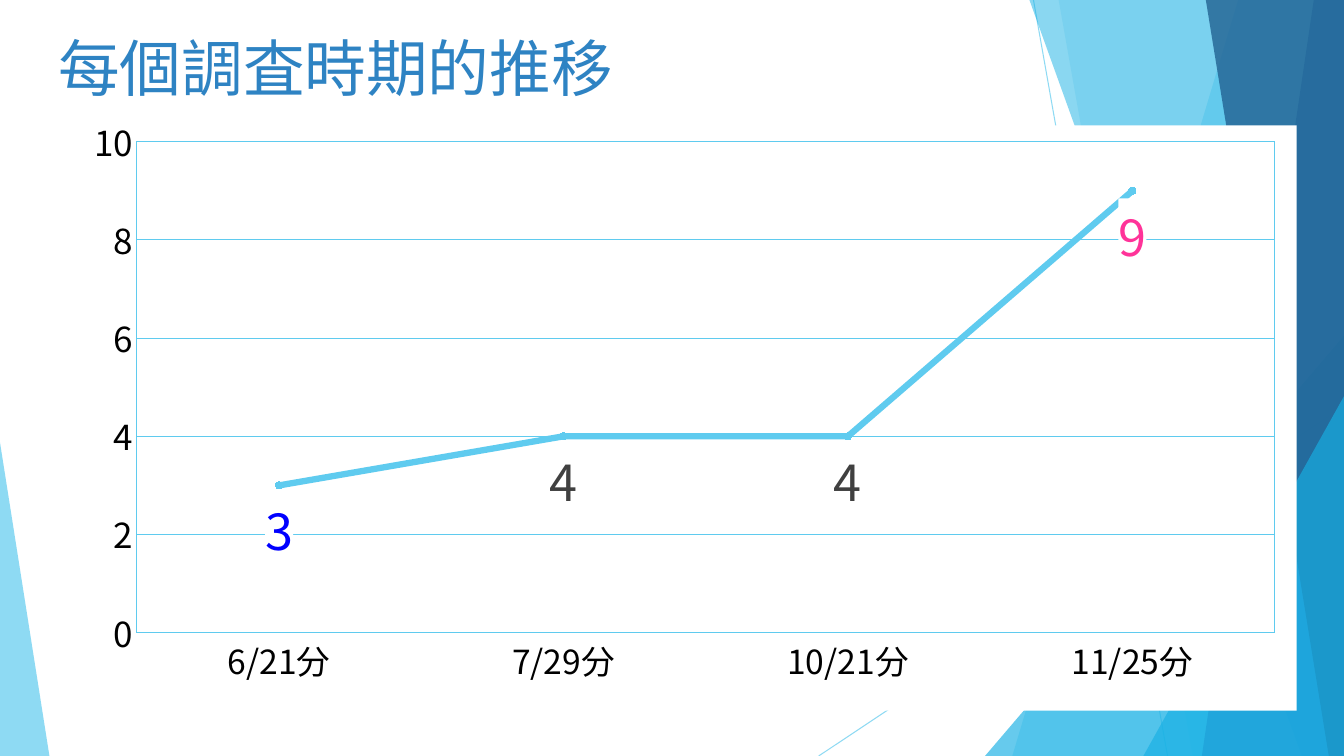
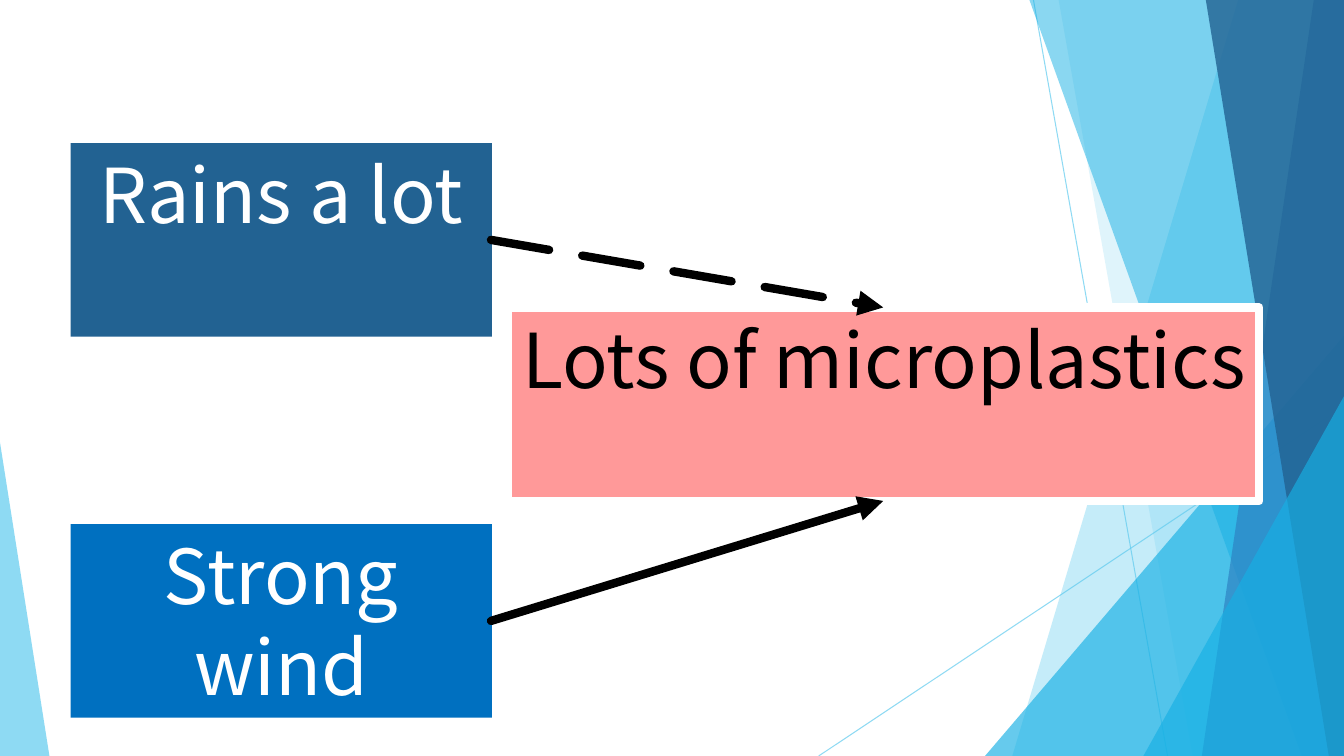
from lxml.etree import SubElement
from pptx import Presentation
from pptx.chart.data import CategoryChartData
from pptx.dml.color import RGBColor
from pptx.enum.chart import XL_CHART_TYPE, XL_LABEL_POSITION, XL_MARKER_STYLE, XL_TICK_MARK
from pptx.enum.dml import MSO_LINE
from pptx.enum.shapes import MSO_CONNECTOR, MSO_SHAPE
from pptx.enum.text import MSO_ANCHOR, PP_ALIGN
from pptx.oxml import parse_xml
from pptx.oxml.ns import nsdecls, qn
from pptx.util import Inches, Pt

WIDTH, HEIGHT = 13.33, 7.5
FONT = "Noto Sans CJK JP"
SKY = RGBColor(0x5F, 0xCB, 0xEF)
CYAN = RGBColor(0x17, 0xB0, 0xE4)
BLUE = RGBColor(0x2E, 0x83, 0xC3)
NAVY = RGBColor(0x22, 0x62, 0x92)
STRONG_BLUE = RGBColor(0x00, 0x70, 0xC0)
PURE_BLUE = RGBColor(0x00, 0x00, 0xFF)
SALMON = RGBColor(0xFF, 0x99, 0x99)
PINK = RGBColor(0xFF, 0x33, 0x99)
GRAY = RGBColor(0x40, 0x40, 0x40)
BLACK = RGBColor(0x00, 0x00, 0x00)
WHITE = RGBColor(0xFF, 0xFF, 0xFF)


def set_opacity(shape, percent):
    color = next(shape.element.iter(qn("a:srgbClr")))
    SubElement(color, qn("a:alpha"), val=str(percent * 1000))


def set_east_asian_font(element):
    """Repeat every Latin typeface as the East Asian one."""
    for latin in list(element.iter(qn("a:latin"))):
        latin.addnext(parse_xml(f'<a:ea {nsdecls("a")} typeface="{FONT}"/>'))


def format_font(font, size, color):
    font.name = FONT
    font.size = Pt(size)
    font.bold = False
    font.color.rgb = color


def write_text(shape, text, size=54, color=WHITE, align=PP_ALIGN.CENTER, anchor=MSO_ANCHOR.TOP):
    frame = shape.text_frame
    frame.word_wrap = True
    frame.vertical_anchor = anchor
    paragraph = frame.paragraphs[0]
    paragraph.alignment = align
    run = paragraph.add_run()
    run.text = text
    format_font(run.font, size, color)
    set_east_asian_font(shape.element)


def paint(shape, color, opacity=None):
    shape.shadow.inherit = False
    shape.fill.solid()
    shape.fill.fore_color.rgb = color
    shape.line.fill.background()
    if opacity is not None:
        set_opacity(shape, opacity)


def add_line(slide, start, end, color, width):
    points = [Inches(value) for value in (*start, *end)]
    connector = slide.shapes.add_connector(MSO_CONNECTOR.STRAIGHT, *points)
    connector.line.color.rgb = color
    connector.line.width = Pt(width)
    SubElement(connector.element.spPr, qn("a:effectLst"))
    return connector


def add_arrow(slide, start, end, dash=None):
    connector = add_line(slide, start, end, BLACK, 6)
    if dash is not None:
        connector.line.dash_style = dash
    outline = connector.element.spPr.find(qn("a:ln"))
    outline.set("cap", "rnd")
    SubElement(outline, qn("a:round"))
    SubElement(outline, qn("a:tailEnd"), type="triangle")


def add_band(slide, top_x, bottom_x, color, opacity):
    """Add a slanted band that reaches the right edge of the slide."""
    builder = slide.shapes.build_freeform(Inches(top_x), 0)
    corners = [(WIDTH, 0), (WIDTH, HEIGHT), (bottom_x, HEIGHT)]
    builder.add_line_segments([(Inches(x), Inches(y)) for x, y in corners])
    paint(builder.convert_to_shape(), color, opacity)


def add_corner(slide, left, top, width, apex, color, opacity):
    """Add a triangle that stands on the bottom edge; apex is 0 (left) or 1 (right)."""
    triangle = slide.shapes.add_shape(
        MSO_SHAPE.ISOSCELES_TRIANGLE,
        Inches(left), Inches(top), Inches(width), Inches(HEIGHT - top))
    triangle.adjustments[0] = apex
    paint(triangle, color, opacity)


def add_backdrop(slide):
    for start, end in [((10.25, 0), (11.58, HEIGHT)), ((WIDTH, 4.03), (8.12, HEIGHT))]:
        set_opacity(add_line(slide, start, end, SKY, 0.75), 70)
    add_band(slide, 12.28, 10.04, SKY, 36)
    add_band(slide, 10.5, 11.83, SKY, 20)
    add_corner(slide, 9.77, 3.33, 3.56, 1, CYAN, 66)
    add_band(slide, 10.21, 12.91, CYAN, 50)
    add_band(slide, 13.03, 11.92, BLUE, 70)
    add_band(slide, 11.96, 13.18, NAVY, 80)
    add_corner(slide, 11.34, 3.93, 1.99, 1, CYAN, 66)
    add_corner(slide, 0, 4.39, 0.49, 0, SKY, 70)


def add_slide(presentation):
    slide = presentation.slides.add_slide(presentation.slide_layouts[6])
    add_backdrop(slide)
    return slide


def add_title(slide, text):
    box = slide.shapes.add_textbox(Inches(0.48), Inches(0.23), Inches(6.19), Inches(0.87))
    write_text(box, text, size=44, color=BLUE, align=PP_ALIGN.LEFT, anchor=MSO_ANCHOR.MIDDLE)


def add_box(slide, text, left, top, width, fill, color=WHITE, border=None):
    box = slide.shapes.add_shape(
        MSO_SHAPE.RECTANGLE, Inches(left), Inches(top), Inches(width), Inches(1.92))
    paint(box, fill)
    if border is not None:
        box.line.color.rgb = border
        box.line.width = Pt(6)
    write_text(box, text, color=color)


def white_area(border=""):
    return parse_xml(
        f'<c:spPr {nsdecls("c", "a")}><a:solidFill><a:srgbClr val="{WHITE}"/></a:solidFill>'
        f'<a:ln w="9525">{border or "<a:noFill/>"}</a:ln></c:spPr>')


def set_plot_area(chart, x, y, width, height):
    area = chart.element.find(f'{qn("c:chart")}/{qn("c:plotArea")}')
    for layout in area.findall(qn("c:layout")):
        area.remove(layout)
    sizes = {"x": x, "y": y, "w": width, "h": height}
    edges = "".join(f'<c:{name}Mode val="edge"/>' for name in "xy")
    values = "".join(f'<c:{name} val="{value}"/>' for name, value in sizes.items())
    area.insert(0, parse_xml(
        f'<c:layout {nsdecls("c")}><c:manualLayout><c:layoutTarget val="inner"/>'
        f'{edges}{values}</c:manualLayout></c:layout>'))
    area.append(white_area(f'<a:solidFill><a:srgbClr val="{SKY}"/></a:solidFill>'))


def format_axis(axis, size):
    axis.major_tick_mark = axis.minor_tick_mark = XL_TICK_MARK.NONE
    format_font(axis.tick_labels.font, size, BLACK)
    axis.format.line.color.rgb = SKY
    axis.format.line.width = Pt(0.75)


def format_series(series):
    series.smooth = False
    series.format.line.color.rgb = SKY
    series.format.line.width = Pt(4.5)
    series.marker.style = XL_MARKER_STYLE.CIRCLE
    series.marker.size = 5
    series.marker.format.fill.solid()
    series.marker.format.fill.fore_color.rgb = SKY
    series.marker.format.line.fill.background()
    labels = series.data_labels
    labels.show_value = True
    labels.position = XL_LABEL_POSITION.BELOW
    format_font(labels.font, 36, GRAY)
    for index, color in [(0, PURE_BLUE), (3, PINK)]:
        label = series.points[index].data_label
        format_font(label.font, 36, color)
        label.position = XL_LABEL_POSITION.BELOW
    for label in series.data_labels.element.findall(qn("c:dLbl")) if hasattr(
            series.data_labels, "element") else series.format.element.iter(qn("c:dLbl")):
        label.find(qn("c:txPr")).addprevious(white_area())


def add_line_chart(slide, categories, values):
    data = CategoryChartData()
    data.categories = categories
    data.add_series("Series 1", values)
    chart = slide.shapes.add_chart(
        XL_CHART_TYPE.LINE_MARKERS,
        Inches(0.74), Inches(1.16), Inches(12.12), Inches(5.89), data).chart
    chart.has_title = chart.has_legend = False
    format_font(chart.font, 10, BLACK)
    chart.element.find(qn("c:txPr")).addprevious(white_area())
    set_plot_area(chart, 0.051, 0.028, 0.931, 0.839)
    format_axis(chart.category_axis, 24)
    value_axis = chart.value_axis
    format_axis(value_axis, 25)
    value_axis.minimum_scale, value_axis.maximum_scale, value_axis.major_unit = 0, 10, 2
    value_axis.major_gridlines.format.line.color.rgb = SKY
    value_axis.major_gridlines.format.line.width = Pt(0.75)
    plot = chart.plots[0]
    plot.vary_by_categories = False
    format_series(plot.series[0])
    set_east_asian_font(chart.element)


def build_trend_slide(presentation):
    slide = add_slide(presentation)
    add_title(slide, "每個調査時期的推移")
    add_line_chart(slide, ["6/21分", "7/29分", "10/21分", "11/25分"], [3, 4, 4, 9])


def build_causes_slide(presentation):
    slide = add_slide(presentation)
    add_box(slide, "Rains a lot", 0.7, 1.42, 4.18, NAVY)
    add_box(slide, "Strong wind", 0.7, 5.2, 4.18, STRONG_BLUE)
    add_box(slide, "Lots of microplastics", 5.04, 3.05, 7.45, SALMON, color=BLACK, border=WHITE)
    add_arrow(slide, (4.87, 2.38), (8.76, 3.05), dash=MSO_LINE.LONG_DASH)
    add_arrow(slide, (4.87, 6.16), (8.76, 4.97))


def main():
    presentation = Presentation()
    presentation.slide_width = Inches(WIDTH)
    presentation.slide_height = Inches(HEIGHT)
    build_trend_slide(presentation)
    build_causes_slide(presentation)
    presentation.save("out.pptx")


if __name__ == "__main__":
    main()
